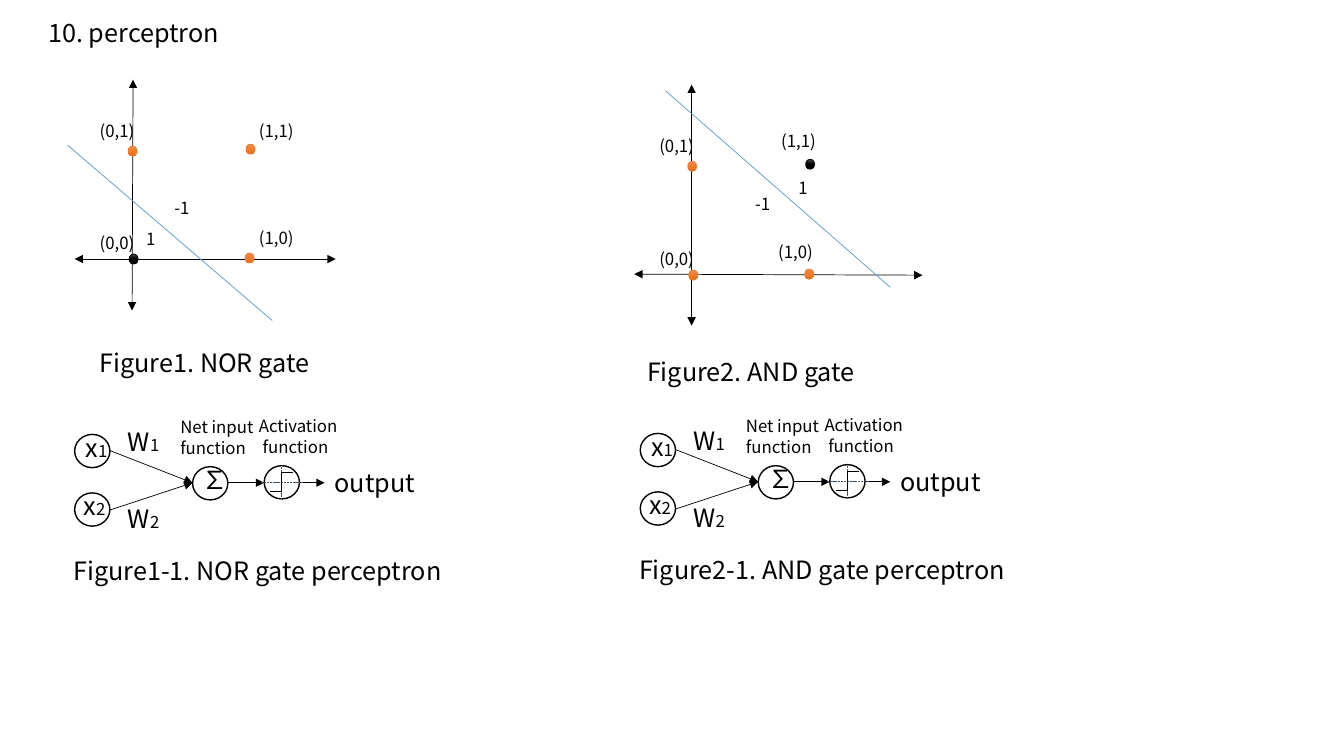
from copy import deepcopy

from lxml import etree
from pptx import Presentation
from pptx.dml.color import RGBColor
from pptx.enum.dml import MSO_LINE
from pptx.enum.shapes import MSO_CONNECTOR, MSO_SHAPE
from pptx.enum.text import MSO_ANCHOR, MSO_AUTO_SIZE, PP_ALIGN
from pptx.oxml.ns import qn
from pptx.util import Emu, Pt

STRAIGHT, ELBOW = MSO_CONNECTOR.STRAIGHT, MSO_CONNECTOR.ELBOW
ELLIPSE = MSO_SHAPE.OVAL
DASHED = MSO_LINE.SQUARE_DOT
TOP, LEFT = MSO_ANCHOR.TOP, PP_ALIGN.LEFT
GROW = MSO_AUTO_SIZE.SHAPE_TO_FIT_TEXT

BLACK = RGBColor(0x00, 0x00, 0x00)
ORANGE = RGBColor(0xED, 0x7D, 0x31)
BLUE = RGBColor(0x5B, 0x9B, 0xD5)
SLATE = RGBColor(0x44, 0x54, 0x6A)
DOT_SHADES = {
    BLACK: (RGBColor(0x4B, 0x4B, 0x4B), BLACK, BLACK),
    ORANGE: (RGBColor(0xF1, 0x8C, 0x57), RGBColor(0xF6, 0x7B, 0x28),
             RGBColor(0xE5, 0x6C, 0x19)),
}

FONT = "Noto Sans CJK KR"
LARGE, SMALL = 18, 12
LARGE_HEIGHT, SMALL_HEIGHT, TWO_LINE_HEIGHT = 40, 30, 50
NODE_WIDTH, NODE_HEIGHT = 35, 33


def px(length):
    """Convert px, at 100 to the inch, into EMU."""
    return Emu(length * 9144)


class Sketch:
    def __init__(self, slide):
        self.slide = slide
        self.shapes = slide.shapes

    def start_group(self):
        self.shapes = self.slide.shapes.add_group_shape().shapes

    def end_group(self):
        self.shapes = self.slide.shapes

    def fill_frame(self, frame, paragraphs):
        """Fill a frame with paragraphs, each a list of (text, size) runs."""
        frame.word_wrap = True
        frame.auto_size = GROW
        frame.vertical_anchor = TOP
        for number, runs in enumerate(paragraphs):
            paragraph = frame.add_paragraph() if number else frame.paragraphs[0]
            paragraph.alignment = LEFT
            for words, size in runs:
                run = paragraph.add_run()
                run.text = words
                run.font.size = Pt(size)
                run.font.name = FONT
                run.font.color.rgb = BLACK
                east_asian = etree.SubElement(run.font._element, qn("a:ea"))
                east_asian.set("typeface", FONT)

    def title(self, left, top, width, height, words):
        heading = self.slide.shapes.title
        heading.left, heading.top = px(left), px(top)
        heading.width, heading.height = px(width), px(height)
        self.fill_frame(heading.text_frame, [[(words, LARGE)]])

    def text(self, left, top, width, height, *paragraphs):
        box = self.shapes.add_textbox(px(left), px(top), px(width), px(height))
        self.fill_frame(box.text_frame, paragraphs)

    def label(self, left, top, words):
        self.text(left, top, 75, SMALL_HEIGHT, [(words, SMALL)])

    def caption(self, left, top, width, words):
        self.text(left, top, width, LARGE_HEIGHT, [(words, LARGE)])

    def ellipse(self, left, top, width, height, color, weight):
        shape = self.shapes.add_shape(
            ELLIPSE, px(left), px(top), px(width), px(height))
        shape.shadow.inherit = False
        shape.line.color.rgb = color
        shape.line.width = Pt(weight)
        return shape

    def node(self, left, top):
        self.ellipse(left, top, NODE_WIDTH, NODE_HEIGHT, BLACK, 1).fill.background()

    def dot(self, left, top, color):
        shape = self.ellipse(left, top, 9, 10, color, 0.5)
        shape.fill.gradient()
        shape.fill.gradient_angle = 270
        stop_list = shape._element.spPr.find(".//" + qn("a:gsLst"))
        stop_list.append(deepcopy(stop_list[-1]))
        for number, shade in enumerate(DOT_SHADES[color]):
            stop = shape.fill.gradient_stops[number]
            stop.position = number / 2
            stop.color.rgb = shade

    def line(self, start, end, color=BLACK, kind=STRAIGHT, dash=None, arrows=()):
        """Draw a connector; arrows lists the ends, headEnd or tailEnd, with a tip."""
        connector = self.shapes.add_connector(
            kind, px(start[0]), px(start[1]), px(end[0]), px(end[1]))
        connector.line.color.rgb = color
        connector.line.width = Pt(0.5)
        if dash:
            connector.line.dash_style = dash
        properties = connector._element.spPr
        for arrow in arrows:
            tip = etree.SubElement(properties.find(qn("a:ln")), qn("a:" + arrow))
            tip.set("type", "triangle")
        etree.SubElement(properties, qn("a:effectLst"))

    def gate(self, axes, boundary, dots, labels):
        for start, end in axes:
            self.line(start, end, arrows=("headEnd", "tailEnd"))
        for left, top, color in dots:
            self.dot(left, top, color)
        self.line(*boundary, color=BLUE)
        for left, top, words in labels:
            self.label(left, top, words)

    def perceptron(self, x, y):
        """Draw the network with the top left of its first input node at x, y."""
        self.start_group()
        for left, top in ((0, 0), (0, 58), (117, 32), (188, 31)):
            self.node(x + left, y + top)
        middle = y + 48
        for start, end in (((35, 16), (117, 48)), ((35, 75), (117, 48)),
                           ((152, 48), (188, 48)), ((224, 48), (248, 48))):
            self.line((x + start[0], y + start[1]), (x + end[0], y + end[1]),
                      arrows=("tailEnd",))
        self.line((x + 205, y + 32), (x + 205, y + 64), SLATE, dash=DASHED)
        self.line((x + 185, middle), (x + 227, middle), SLATE, dash=DASHED)
        self.line((x + 217, y + 38), (x + 194, y + 56), kind=ELBOW)
        for left, top, letter, index in ((1, -7, "x", "1"), (-1, 51, "x", "2"),
                                         (43, -13, "W", "1"), (43, 63, "W", "2")):
            self.text(x + left, y + top, 111, LARGE_HEIGHT,
                      [(letter, LARGE), (index, SMALL)])
        self.caption(x + 117, y + 25, 56, "∑")
        self.caption(x + 248, y + 28, 128, "output")
        for left, top, first, second in ((95, -22, "Net input", "function"),
                                         (173, -23, "Activation", " function")):
            self.text(x + left, y + top, 113, TWO_LINE_HEIGHT,
                      [(first, SMALL)], [(second, SMALL)])
        self.end_group()


def main():
    deck = Presentation()
    deck.slide_width, deck.slide_height = px(1333), px(750)
    sketch = Sketch(deck.slides.add_slide(deck.slide_layouts[5]))
    sketch.title(38, 12, 979, LARGE_HEIGHT, "10. perceptron")

    sketch.gate(
        axes=(((132, 79), (131, 308)), ((74, 257), (333, 257))),
        boundary=((67, 144), (270, 318)),
        dots=((128, 252, BLACK), (127, 145, ORANGE),
              (244, 143, ORANGE), (243, 251, ORANGE)),
        labels=((89, 115, "(0,1)"), (89, 226, "(0,0)"), (247, 221, "(1,0)"),
                (247, 115, "(1,1)"), (163, 191, "-1"), (135, 222, "1")))
    sketch.caption(89, 340, 260, "Figure1. NOR gate")
    sketch.perceptron(74, 431)
    sketch.caption(63, 546, 398, "Figure1-1. NOR gate perceptron")

    sketch.gate(
        axes=(((686, 84), (686, 323)), ((629, 272), (915, 273))),
        boundary=((660, 90), (883, 285)),
        dots=((683, 268, ORANGE), (682, 160, ORANGE),
              (799, 158, BLACK), (798, 267, ORANGE)),
        labels=((644, 130, "(0,1)"), (644, 242, "(0,0)"), (762, 235, "(1,0)"),
                (765, 125, "(1,1)"), (782, 171, "1"), (739, 187, "-1")))
    sketch.caption(632, 349, 260, "Figure2. AND gate")
    sketch.perceptron(635, 430)
    sketch.caption(624, 545, 398, "Figure2-1. AND gate perceptron")

    deck.save("out.pptx")


if __name__ == "__main__":
    main()
